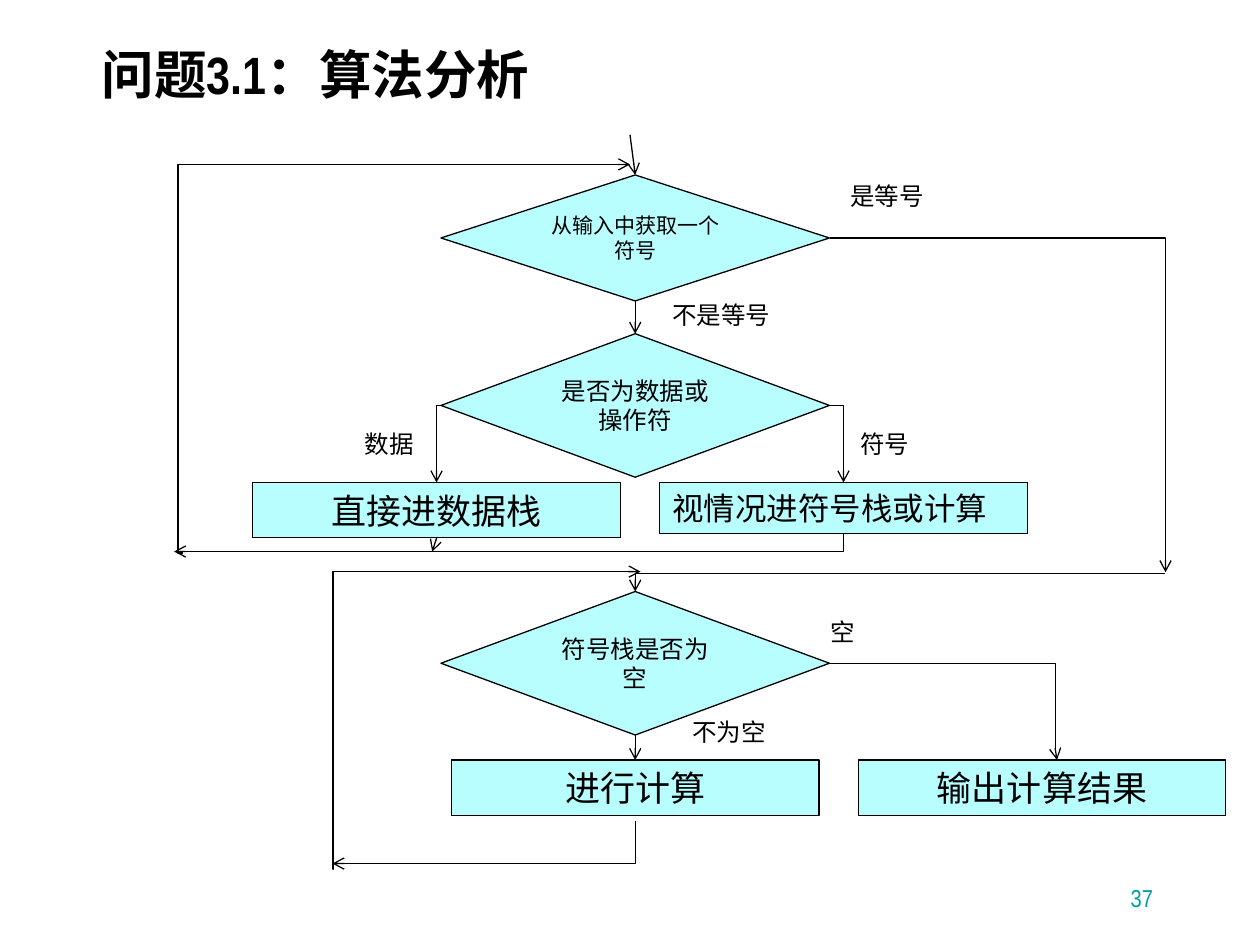
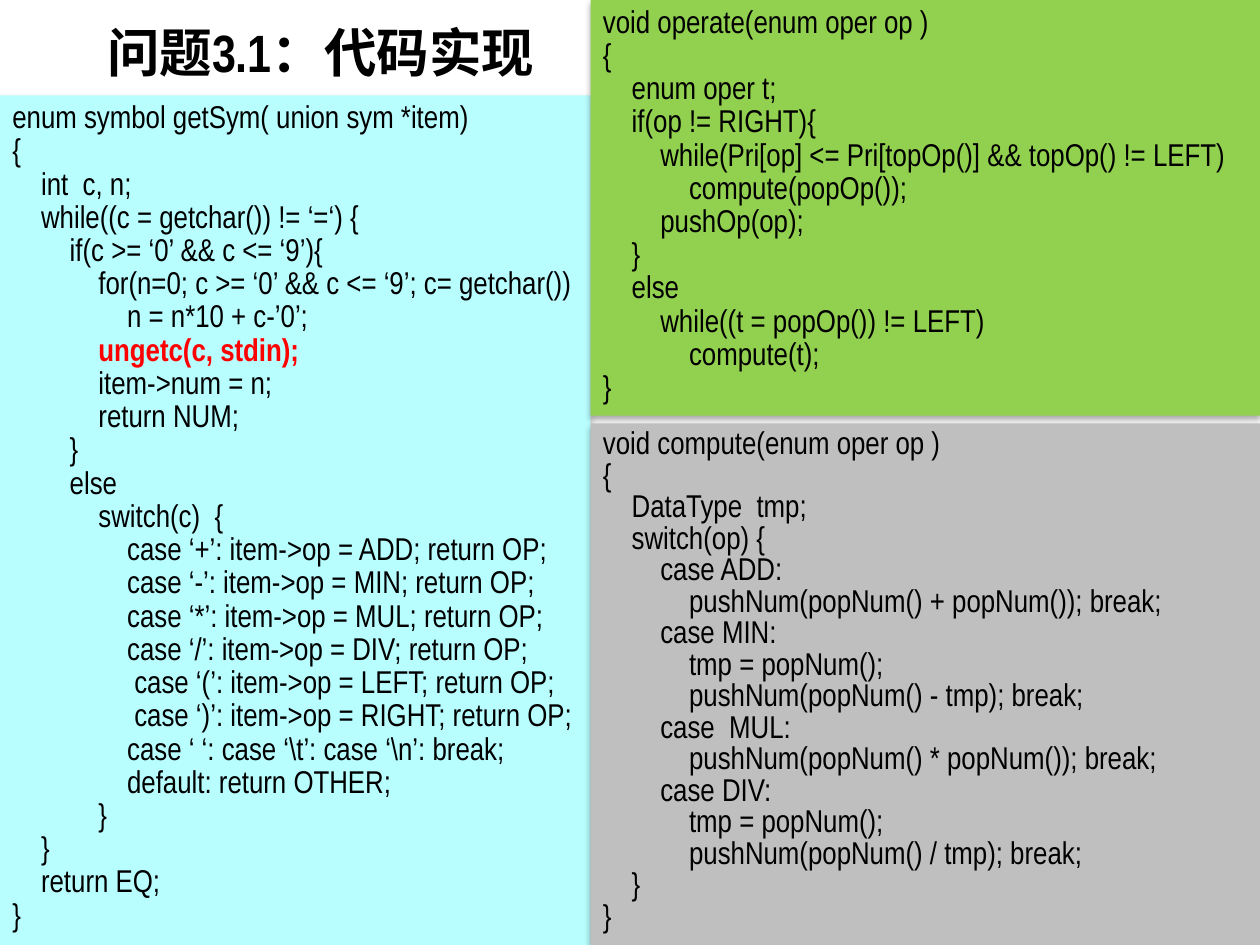
import lxml.etree
import pptx
import pptx.dml.color
import pptx.enum.shapes
import pptx.enum.text
import pptx.oxml.ns
import pptx.util

Pt = pptx.util.Pt
RGBColor = pptx.dml.color.RGBColor
MSO_SHAPE = pptx.enum.shapes.MSO_SHAPE
MSO_CONNECTOR = pptx.enum.shapes.MSO_CONNECTOR
MSO_ANCHOR = pptx.enum.text.MSO_ANCHOR
MSO_AUTO_SIZE = pptx.enum.text.MSO_AUTO_SIZE
PP_ALIGN = pptx.enum.text.PP_ALIGN
qn = pptx.oxml.ns.qn

BLACK = RGBColor(0x00, 0x00, 0x00)
RED = RGBColor(0xFF, 0x00, 0x00)
TEAL = RGBColor(0x00, 0x9E, 0xA1)
CYAN = RGBColor(0xB9, 0xFE, 0xFF)
GREEN = RGBColor(0x92, 0xD0, 0x50)
GREY = RGBColor(0xBF, 0xBF, 0xBF)

LATIN_FONT = "Arial Narrow"
CHINESE_FONT = "Noto Sans CJK SC"
SPACE_WIDTH = 4.1  # one space of the code font at 18 pt

GET_SYMBOL_CODE = r"""
enum symbol getSym( union sym *item)
{
    int  c, n;
    while((c = getchar()) != ‘=‘) {
        if(c >= ‘0’ && c <= ‘9’){
            for(n=0; c >= ‘0’ && c <= ‘9’; c= getchar())
                n = n*10 + c-’0’;
            ungetc(c, stdin);
            item->num = n;
            return NUM;
        }
        else
            switch(c)  {
                case ‘+’: item->op = ADD; return OP;
                case ‘-’: item->op = MIN; return OP;
                case ‘*’: item->op = MUL; return OP;
                case ‘/’: item->op = DIV; return OP;
                 case ‘(’: item->op = LEFT; return OP;
                 case ‘)’: item->op = RIGHT; return OP;
                case ‘ ‘: case ‘\t’: case ‘\n’: break;
                default: return OTHER;
            }
    }
    return EQ;
}
"""

OPERATE_CODE = """
void operate(enum oper op )
{
    enum oper t;
    if(op != RIGHT){
        while(Pri[op] <= Pri[topOp()] && topOp() != LEFT)
            compute(popOp());
        pushOp(op);
    }
    else
        while((t = popOp()) != LEFT)
            compute(t);
}
"""

COMPUTE_CODE = """
void compute(enum oper op )
{
    DataType  tmp;
    switch(op) {
        case ADD:
            pushNum(popNum() + popNum()); break;
        case MIN:
            tmp = popNum();
            pushNum(popNum() - tmp); break;
        case  MUL:
            pushNum(popNum() * popNum()); break;
        case DIV:
            tmp = popNum();
            pushNum(popNum() / tmp); break;
    }
}
"""


class Deck:
    def __init__(self):
        self.presentation = pptx.Presentation()
        self.presentation.slide_width = Pt(720)
        self.presentation.slide_height = Pt(540)
        self.slide = None

    def start_slide(self, title, left, top):
        self.slide = self.presentation.slides.add_slide(self.presentation.slide_layouts[5])
        shape = self.slide.shapes.title
        shape.left, shape.top, shape.width, shape.height = Pt(left), Pt(top), Pt(645), Pt(66)
        frame = shape.text_frame
        frame.auto_size = MSO_AUTO_SIZE.NONE
        frame.vertical_anchor = MSO_ANCHOR.MIDDLE
        paragraph = frame.paragraphs[0]
        paragraph.alignment = PP_ALIGN.LEFT
        paragraph.line_spacing = 0.8
        self.run(paragraph, title, 30, bold=True)

    def run(self, paragraph, text, size, color=BLACK, bold=False, font=LATIN_FONT):
        run = paragraph.add_run()
        run.text = text
        run.font.size = Pt(size)
        run.font.bold = bold
        run.font.color.rgb = color
        run.font.name = font
        properties = run._r.get_or_add_rPr()
        lxml.etree.SubElement(properties, qn("a:ea"), typeface=CHINESE_FONT)

    def block(self, kind, left, top, width, height, fill):
        shape = self.slide.shapes.add_shape(kind, Pt(left), Pt(top), Pt(width), Pt(height))
        shape.shadow.inherit = False
        shape.fill.solid()
        shape.fill.fore_color.rgb = fill
        shape.text_frame.word_wrap = True
        return shape

    def node(self, kind, text, size, left, top, width, height, align=PP_ALIGN.CENTER):
        shape = self.block(kind, left, top, width, height, CYAN)
        shape.line.color.rgb = BLACK
        shape.line.width = Pt(0.75)
        shape.text_frame.vertical_anchor = MSO_ANCHOR.MIDDLE
        paragraph = shape.text_frame.paragraphs[0]
        paragraph.alignment = align
        self.run(paragraph, text, size, font=CHINESE_FONT)
        return shape

    def decision(self, text, size, top, height):
        return self.node(MSO_SHAPE.FLOWCHART_DECISION, text, size, 252, top, 222, height)

    def step(self, text, left, top, size=20, height=31.7, align=PP_ALIGN.CENTER):
        return self.node(MSO_SHAPE.RECTANGLE, text, size, left, top, 210, height, align)

    def label(self, text, left, top):
        width = 14 * len(text) + 14.4
        box = self.slide.shapes.add_textbox(Pt(left), Pt(top), Pt(width), Pt(24.5))
        box.text_frame.word_wrap = False
        self.run(box.text_frame.paragraphs[0], text, 14)

    def page_number(self, text):
        box = self.slide.shapes.add_textbox(Pt(530), Pt(490.5), Pt(136), Pt(34.5))
        box.text_frame.word_wrap = True
        box.text_frame.vertical_anchor = MSO_ANCHOR.BOTTOM
        paragraph = box.text_frame.paragraphs[0]
        paragraph.alignment = PP_ALIGN.RIGHT
        self.run(paragraph, text, 14, TEAL)

    def connector(self, kind, begin, end):
        ends = [Pt(value) for value in (*begin, *end)]
        connector = self.slide.shapes.add_connector(kind, *ends)
        connector.line.color.rgb = BLACK
        connector.line.width = Pt(0.75)
        properties = connector.element.spPr
        lxml.etree.SubElement(properties.find(qn("a:ln")), qn("a:tailEnd"), type="arrow")
        lxml.etree.SubElement(properties, qn("a:effectLst"))
        return connector

    def arrow(self, source, target):
        """Straight arrow; a shape is left at its bottom and entered at its top."""
        begin, end = source, target
        if not isinstance(source, tuple):
            begin = ((source.left + source.width / 2) / 12700, (source.top + source.height) / 12700)
        if not isinstance(target, tuple):
            end = ((target.left + target.width / 2) / 12700, target.top / 12700)
        connector = self.connector(MSO_CONNECTOR.STRAIGHT, begin, end)
        if begin is not source:
            connector.begin_connect(source, 2)
        if end is not target:
            connector.end_connect(target, 0)

    def elbow(self, begin, end, bend=None):
        """Arrow that starts sideways; bend is where it turns, as a share of its width."""
        connector = self.connector(MSO_CONNECTOR.ELBOW, begin, end)
        geometry = connector.element.spPr.find(qn("a:prstGeom"))
        if bend is None:
            geometry.set("prst", "bentConnector2")
        else:
            lxml.etree.SubElement(geometry.find(qn("a:avLst")), qn("a:gd"),
                                  name="adj1", fmla=f"val {round(bend * 100000)}")
        return connector

    def elbow_down_left(self, begin, end):
        """Quarter-turned elbow, so that it leaves downwards and then runs left."""
        middle_x, middle_y = (begin[0] + end[0]) / 2, (begin[1] + end[1]) / 2
        half_run, half_drop = (begin[0] - end[0]) / 2, (end[1] - begin[1]) / 2
        connector = self.elbow((middle_x - half_drop, middle_y - half_run),
                               (middle_x + half_drop, middle_y + half_run))
        connector.element.spPr.find(qn("a:xfrm")).set("rot", str(90 * 60000))

    def code_panel(self, code, left, top, width, height, fill, spacing, emphasis=None):
        shape = self.block(MSO_SHAPE.RECTANGLE, left, top, width, height, fill)
        shape.line.fill.background()
        self.drop_shadow(shape)
        frame = shape.text_frame
        frame.vertical_anchor = MSO_ANCHOR.TOP
        for index, line in enumerate(code.strip().splitlines()):
            paragraph = frame.add_paragraph() if index else frame.paragraphs[0]
            paragraph.alignment = PP_ALIGN.LEFT
            paragraph.line_spacing = Pt(spacing)
            text = line.lstrip()
            indent = Pt(SPACE_WIDTH * (len(line) - len(text)))
            paragraph._p.get_or_add_pPr().set("marL", str(indent))
            strong = text == emphasis
            self.run(paragraph, text, 18, RED if strong else BLACK, strong)

    def drop_shadow(self, shape):
        effects = shape.element.spPr.find(qn("a:effectLst"))
        shadow = lxml.etree.SubElement(effects, qn("a:outerShdw"), blurRad=str(Pt(3.5)),
                                       dist=str(Pt(2.2)), dir=str(90 * 60000), rotWithShape="0")
        color = lxml.etree.SubElement(shadow, qn("a:srgbClr"), val=str(BLACK))
        lxml.etree.SubElement(color, qn("a:alpha"), val="32000")


def build_flowchart(deck):
    deck.start_slide("问题3.1：算法分析", 51, 12.3)
    deck.page_number("37")

    read_symbol = deck.decision("从输入中获取一个符号", 12, 100, 72)
    check_kind = deck.decision("是否为数据或操作符", 14, 190.7, 82)
    push_data = deck.step("直接进数据栈", 144.5, 275.7)
    deck.step("视情况进符号栈或计算", 377, 275.7, 18, 29, PP_ALIGN.LEFT)
    check_empty = deck.decision("符号栈是否为空", 14, 338, 82)
    calculate = deck.step("进行计算", 258, 434.3)
    deck.step("输出计算结果", 490.5, 434.3)

    deck.arrow((360, 77), read_symbol)
    deck.arrow(read_symbol, check_kind)
    deck.elbow((252, 231.7), (249.5, 275.7))
    deck.elbow((474, 231.7), (482, 275.7))
    deck.elbow_down_left((482, 304.7), (99.5, 315.2))
    deck.arrow(push_data, (247, 315.2))
    deck.elbow((104.5, 316), (360, 94), -0.011)
    deck.elbow((474, 136), (666, 327), 1)
    deck.elbow((666, 327.6), (363, 338))
    deck.arrow(check_empty, calculate)
    deck.elbow((474, 379), (604, 434.3), 0.993)
    deck.elbow_down_left((363, 469), (190, 493.5))
    deck.elbow((190, 497), (366, 326.7), 0.002)

    for text, left, top in (
        ("不是等号", 377, 167.8),
        ("是等号", 478.8, 100),
        ("不为空", 388.5, 406),
        ("空", 467.5, 349.3),
        ("数据", 201.3, 241.5),
        ("符号", 484.5, 241.5),
    ):
        deck.label(text, left, top)


def build_code(deck):
    deck.start_slide("问题3.1：代码实现", 54, 0)
    split = 337.5
    deck.code_panel(GET_SYMBOL_CODE, 0, 54.5, split, 485.5, CYAN, 19, "ungetc(c, stdin);")
    deck.code_panel(OPERATE_CODE, split, 0, 720 - split, 237.6, GREEN, 19)
    deck.code_panel(COMPUTE_CODE, split, 242, 720 - split, 298, GREY, 18)


def main():
    deck = Deck()
    build_flowchart(deck)
    build_code(deck)
    deck.presentation.save("out.pptx")


if __name__ == "__main__":
    main()
